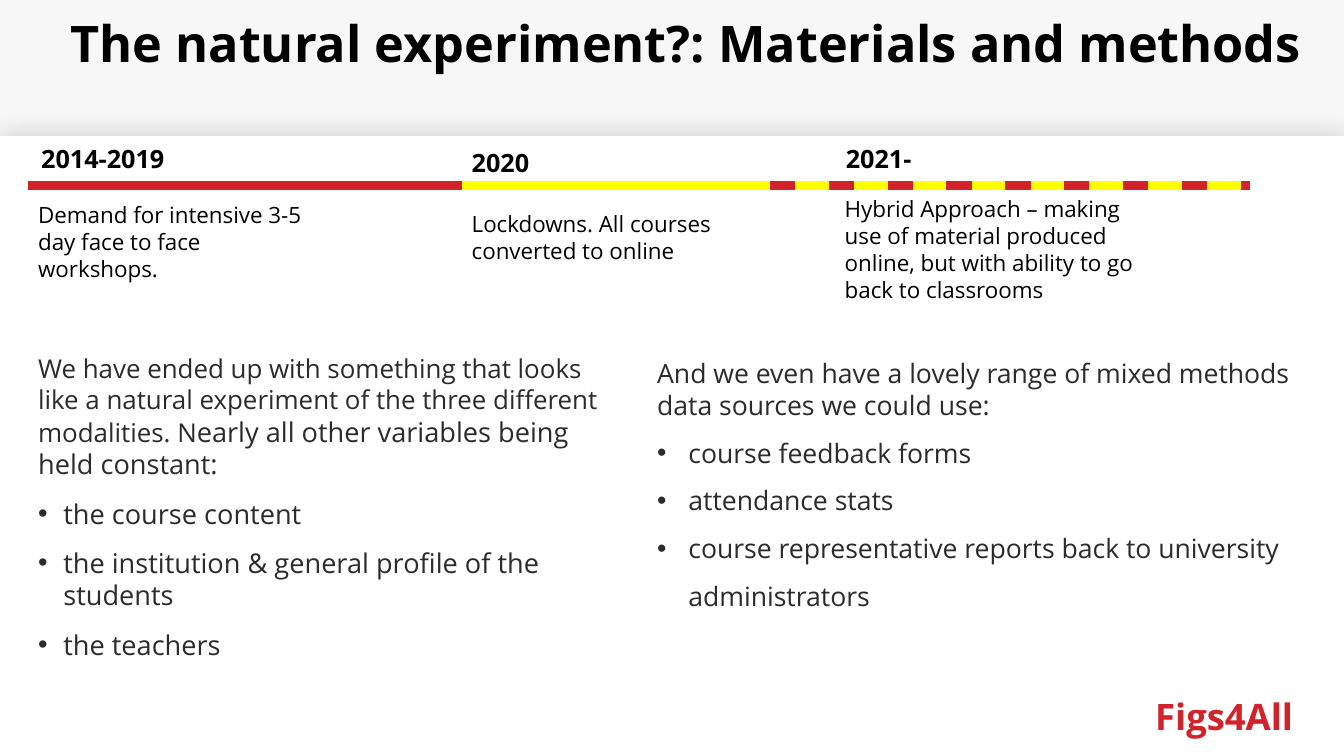
from lxml.etree import SubElement
from pptx import Presentation
from pptx.dml.color import RGBColor
from pptx.enum.dml import MSO_LINE
from pptx.enum.shapes import MSO_CONNECTOR, MSO_SHAPE
from pptx.oxml import parse_xml
from pptx.oxml.ns import nsdecls, qn
from pptx.util import Inches, Pt


def color(hex_code):
    return RGBColor.from_string(hex_code)


def add_text(left, top, width, height, paragraphs, size, ink="000000", bold=False, wrap=True):
    frame = slide.shapes.add_textbox(Inches(left), Inches(top), Inches(width), Inches(height)).text_frame
    frame.word_wrap = wrap
    frame.text = "\n".join(paragraphs)
    for paragraph in frame.paragraphs:
        for run in paragraph.runs:
            run.font.name = "Open Sans"
            run.font.size = Pt(size)
            run.font.bold = bold
            run.font.color.rgb = color(ink)
    return frame


prs = Presentation()
prs.slide_width = Inches(13.33)
prs.slide_height = Inches(7.5)
slide = prs.slides.add_slide(prs.slide_layouts[6])

for top, height, fill in [(0, 5.78, "F7F7F7"), (1.35, 6.15, "FFFFFF")]:
    panel = slide.shapes.add_shape(MSO_SHAPE.RECTANGLE, 0, Inches(top), prs.slide_width, Inches(height))
    panel.shadow.inherit = False
    panel.fill.solid()
    panel.fill.fore_color.rgb = color(fill)
    panel.line.fill.background()

effects = panel.fill._xPr.find(qn("a:effectLst"))
effects.append(parse_xml(
    f'<a:outerShdw {nsdecls("a")} blurRad="{Pt(16)}" dist="{Pt(3)}" dir="{279 * 60000}" rotWithShape="0">'
    '<a:srgbClr val="000000"><a:alpha val="12000"/></a:srgbClr></a:outerShdw>'))

add_text(11.36, 6.84, 1.8, 0.54, ["Figs4All"], 26, "D2222A", bold=True, wrap=False)

title = add_text(0.6, 0.14, 12.42, 1.21, ["The natural experiment?: Materials and methods"], 36, bold=True)
title.paragraphs[0].line_spacing = 0.9

for start, end, stroke, dash in [
    (0.28, 12.4, "D32229", None),
    (4.58, 7.42, "FFFF00", None),
    (7.3, 12.42, "FFFF00", MSO_LINE.DASH),
]:
    period = slide.shapes.add_connector(
        MSO_CONNECTOR.STRAIGHT, Inches(start), Inches(1.84), Inches(end), Inches(1.84))
    period.line.color.rgb = color(stroke)
    period.line.width = Pt(6)
    period.line.dash_style = dash
    SubElement(period._element.spPr, qn("a:effectLst"))

for left, top, years in [(0.31, 1.37, "2014-2019"), (4.58, 1.41, "2020"), (8.29, 1.37, "2021-")]:
    add_text(left, top, 2.72, 0.4, [years], 18, bold=True)

for left, top, width, height, event in [
    (0.28, 1.95, 2.94, 0.91, "Demand for intensive 3-5 day face to face workshops."),
    (4.58, 2.04, 2.72, 0.64, "Lockdowns. All courses converted to online"),
    (8.28, 1.89, 3.33, 1.21,
     "Hybrid Approach – making use of material produced online, but with ability to go back to classrooms"),
]:
    add_text(left, top, width, height, [event], 16)

constants = add_text(0.28, 3.45, 5.87, 3.42, [
    "We have ended up with something that looks like a natural experiment of the three different modalities. N",
    "the course content",
    "the institution & general profile of the students",
    "the teachers",
], 19.4, "2B2B2B")
intro = constants.paragraphs[0]
intro.runs[0].font.size = Pt(18.5)
ending = intro.add_run()
ending.text = "early all other variables being held constant:"
ending.font.name = "Open Sans"
ending.font.size = Pt(19.4)
ending.font.color.rgb = color("2B2B2B")

sources = add_text(6.42, 3.49, 6.9, 2.61, [
    "And we even have a lovely range of mixed methods data sources we could use:",
    "course feedback forms",
    "attendance stats",
    "course representative reports back to university administrators",
], 19, "2B2B2B")

for column, indent, spacing, after in [(constants, 0.25, 1.0, 12), (sources, 0.31, 1.5, 0)]:
    column.paragraphs[0].space_after = Pt(after)
    for item in column.paragraphs[1:]:
        properties = item._p.get_or_add_pPr()
        properties.set("marL", str(Inches(indent)))
        properties.set("indent", str(-Inches(indent)))
        SubElement(properties, qn("a:buFont"), typeface="Arial")
        SubElement(properties, qn("a:buChar"), char="•")
        item.line_spacing = spacing
        item.space_after = Pt(after)

prs.save("out.pptx")
